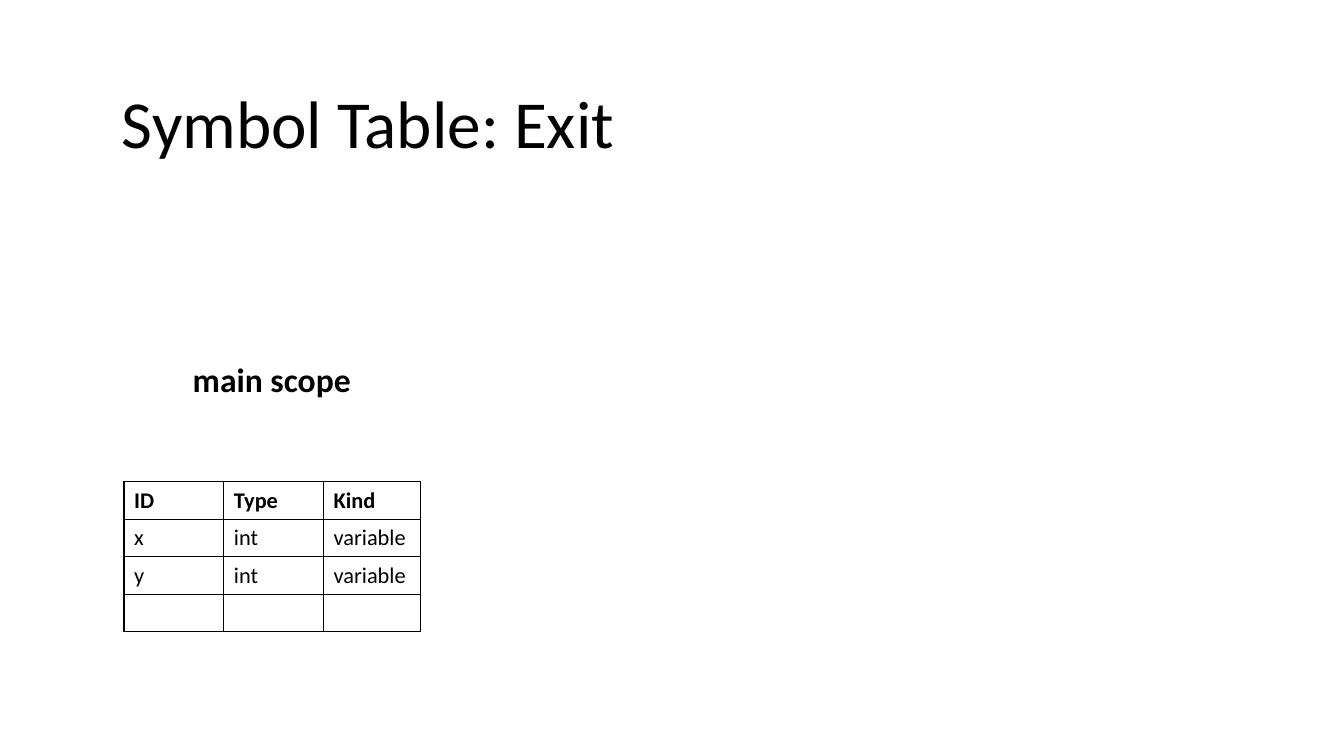
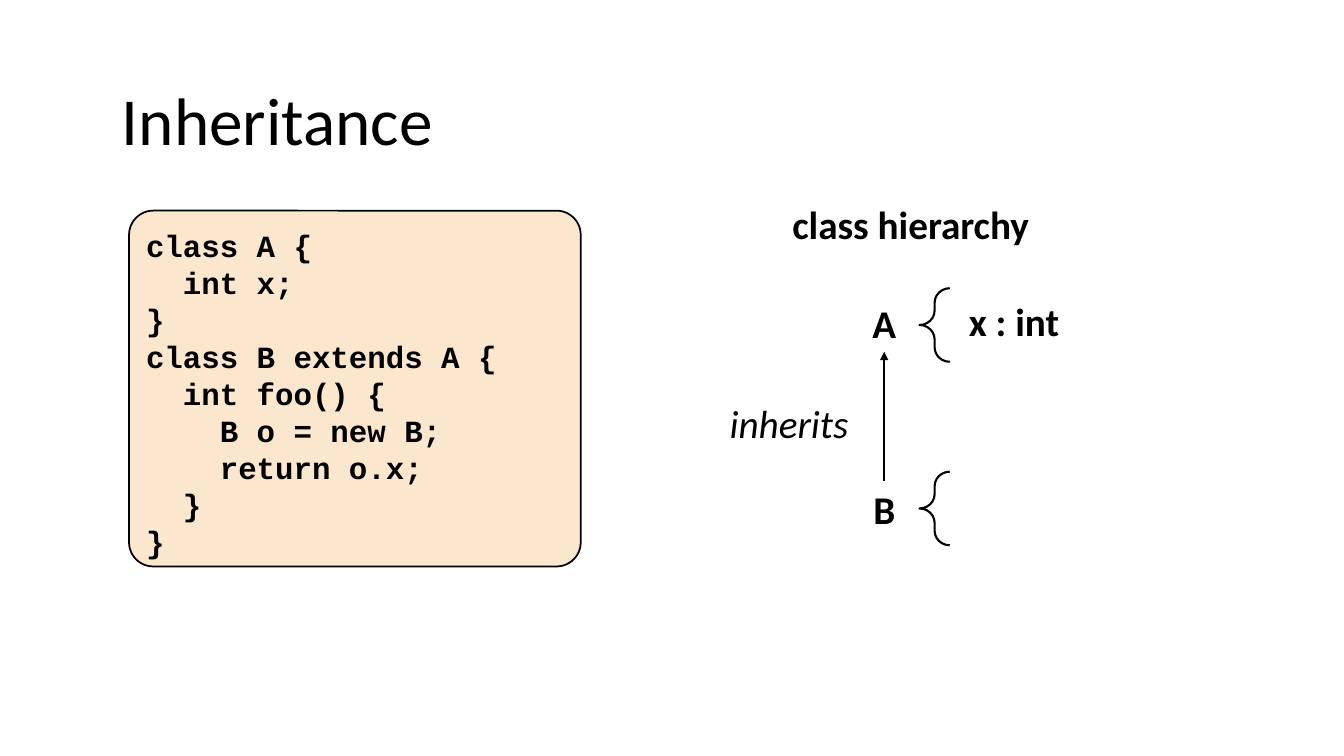
from dataclasses import dataclass

from lxml import etree
from pptx import Presentation
from pptx.dml.color import RGBColor
from pptx.enum.shapes import MSO_CONNECTOR, MSO_SHAPE
from pptx.enum.text import MSO_ANCHOR, MSO_AUTO_SIZE, PP_ALIGN
from pptx.oxml.ns import qn
from pptx.util import Inches, Pt

TOP = MSO_ANCHOR.TOP
NO_AUTOFIT = MSO_AUTO_SIZE.NONE
LEFT, CENTER = PP_ALIGN.LEFT, PP_ALIGN.CENTER
STRAIGHT = MSO_CONNECTOR.STRAIGHT
ROUNDED_RECTANGLE = MSO_SHAPE.ROUNDED_RECTANGLE
LEFT_BRACE = MSO_SHAPE.LEFT_BRACE
TITLE_ONLY = 5


@dataclass(frozen=True)
class Theme:
    ink: RGBColor = RGBColor(0x00, 0x00, 0x00)
    paper: RGBColor = RGBColor(0xFF, 0xFF, 0xFF)
    code_fill: RGBColor = RGBColor(0xFB, 0xE6, 0xCE)
    body_font: str = "Calibri"
    code_font: str = "Courier New"
    title_size: float = 48
    label_size: float = 28
    scope_size: float = 24
    code_size: float = 22
    code_pitch: float = 26.4
    table_size: float = 16
    table_border: float = 1
    code_border: float = 1.25
    diagram_line: float = 1.5


THEME = Theme()

SYMBOLS = [
    ("ID", "Type", "Kind"),
    ("x", "int", "variable"),
    ("y", "int", "variable"),
    ("", "", ""),
]

CODE = """class A {
  int x;
}
class B extends A {
  int foo() {
    B o = new B;
    return o.x;
  }
}"""


def inches(*lengths):
    return [Inches(length) for length in lengths]


def add_run(paragraph, text, size, font=THEME.body_font, bold=False, italic=False):
    run = paragraph.add_run()
    run.text = text
    run.font.name = font
    run.font.size = Pt(size)
    run.font.bold = bold
    run.font.italic = italic
    run.font.color.rgb = THEME.ink


def add_titled_slide(presentation, text, top):
    slide = presentation.slides.add_slide(presentation.slide_layouts[TITLE_ONLY])
    title = slide.shapes.title
    title.left, title.top, title.width, title.height = inches(1.11, top, 11.09, 0.91)
    frame = title.text_frame
    frame.auto_size = NO_AUTOFIT
    frame.vertical_anchor = TOP
    paragraph = frame.paragraphs[0]
    paragraph.alignment = LEFT
    add_run(paragraph, text, THEME.title_size)
    return slide


def add_label(slide, text, box, size=THEME.label_size, alignment=LEFT, bold=True, italic=False):
    frame = slide.shapes.add_textbox(*inches(*box)).text_frame
    frame.word_wrap = True
    paragraph = frame.paragraphs[0]
    paragraph.alignment = alignment
    add_run(paragraph, text, size, bold=bold, italic=italic)


def add_outlined_shape(slide, kind, box, adjustments, line_width):
    shape = slide.shapes.add_shape(kind, *inches(*box))
    shape.shadow.inherit = False
    for index, value in enumerate(adjustments):
        shape.adjustments[index] = value
    shape.fill.background()
    shape.line.color.rgb = THEME.ink
    shape.line.width = Pt(line_width)
    return shape


def add_code_panel(slide, code, box):
    panel = add_outlined_shape(slide, ROUNDED_RECTANGLE, box, [0.068], THEME.code_border)
    panel.fill.solid()
    panel.fill.fore_color.rgb = THEME.code_fill
    frame = panel.text_frame
    frame.vertical_anchor = TOP
    frame.margin_top = Inches(0.09)
    for index, line in enumerate(code.splitlines()):
        paragraph = frame.add_paragraph() if index else frame.paragraphs[0]
        paragraph.alignment = LEFT
        paragraph.line_spacing = Pt(THEME.code_pitch)
        add_run(paragraph, line, THEME.code_size, THEME.code_font, bold=True)


def add_arrow(slide, start, end):
    arrow = slide.shapes.add_connector(STRAIGHT, *inches(*start, *end))
    arrow.line.color.rgb = THEME.ink
    arrow.line.width = Pt(THEME.diagram_line)
    properties = arrow._element.spPr
    etree.SubElement(properties.find(qn("a:ln")), qn("a:tailEnd"), type="triangle")
    etree.SubElement(properties, qn("a:effectLst"))


def add_class_node(slide, name, label_top, brace_top):
    add_label(slide, name, (8.47, label_top, 0.6, 0.57), alignment=CENTER)
    add_outlined_shape(
        slide, LEFT_BRACE, (9.12, brace_top, 0.3, 0.73), [0.479, 0.5], THEME.diagram_line
    )


def set_cell_borders(cell):
    properties = cell._tc.get_or_add_tcPr()
    for index, side in enumerate(("lnL", "lnR", "lnT", "lnB")):
        border = etree.Element(qn("a:" + side), w=str(Pt(THEME.table_border)))
        fill = etree.SubElement(border, qn("a:solidFill"))
        etree.SubElement(fill, qn("a:srgbClr"), val=str(THEME.ink))
        properties.insert(index, border)


def add_symbol_table(slide, rows, left, top, column_widths, row_height):
    box = inches(left, top, sum(column_widths), row_height * len(rows))
    table = slide.shapes.add_table(len(rows), len(column_widths), *box).table
    table.first_row = False
    table.horz_banding = False
    for column, width in zip(table.columns, column_widths):
        column.width = Inches(width)
    for row_index, values in enumerate(rows):
        table.rows[row_index].height = Inches(row_height)
        for column_index, value in enumerate(values):
            cell = table.cell(row_index, column_index)
            cell.fill.solid()
            cell.fill.fore_color.rgb = THEME.paper
            set_cell_borders(cell)
            paragraph = cell.text_frame.paragraphs[0]
            if value:
                add_run(paragraph, value, THEME.table_size, bold=row_index == 0)
            else:
                size = str(int(THEME.table_size * 100))
                etree.SubElement(paragraph._p, qn("a:endParaRPr"), sz=size)


def build_symbol_table_slide(presentation):
    slide = add_titled_slide(presentation, "Symbol Table: Exit", 0.76)
    add_symbol_table(slide, SYMBOLS, 1.23, 4.78, (0.99, 0.99, 0.96), 0.37)
    add_label(slide, "main scope", (1.62, 3.51, 2.15, 0.5), THEME.scope_size, CENTER)


def build_inheritance_slide(presentation):
    slide = add_titled_slide(presentation, "Inheritance", 0.73)
    add_code_panel(slide, CODE, (1.28, 2.09, 4.48, 3.53))
    add_label(slide, "class hierarchy", (7.76, 1.94, 4.25, 0.57))
    add_class_node(slide, "A", 2.92, 2.86)
    add_class_node(slide, "B", 4.77, 4.68)
    add_arrow(slide, (8.77, 4.77), (8.77, 3.49))
    add_label(
        slide, "inherits", (6.88, 3.91, 1.89, 0.57), alignment=CENTER, bold=False, italic=True
    )
    add_label(slide, "x : int", (9.51, 2.9, 1.89, 0.57))


def main():
    presentation = Presentation()
    presentation.slide_width, presentation.slide_height = inches(13.33, 7.5)
    build_symbol_table_slide(presentation)
    build_inheritance_slide(presentation)
    presentation.save("out.pptx")


if __name__ == "__main__":
    main()
